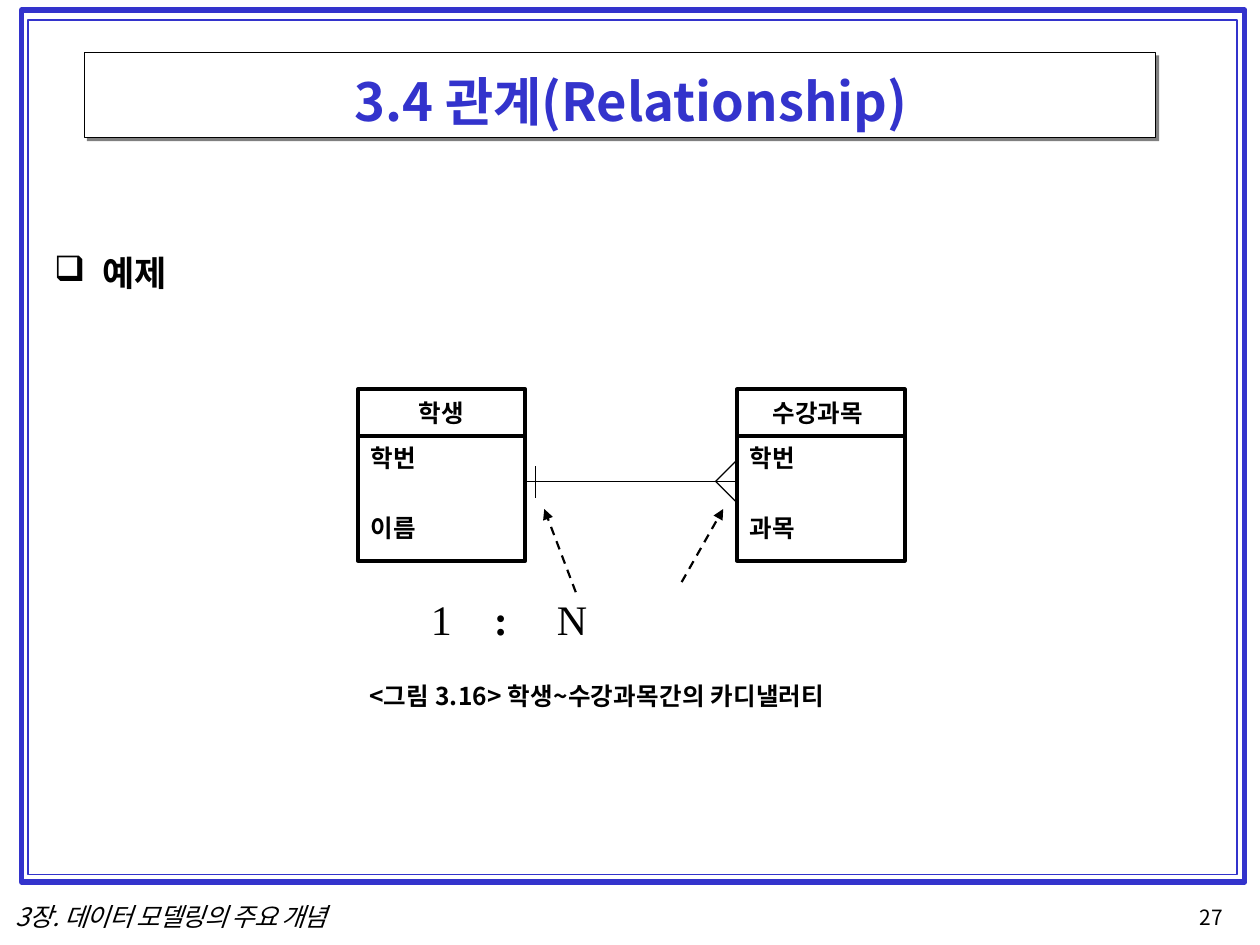
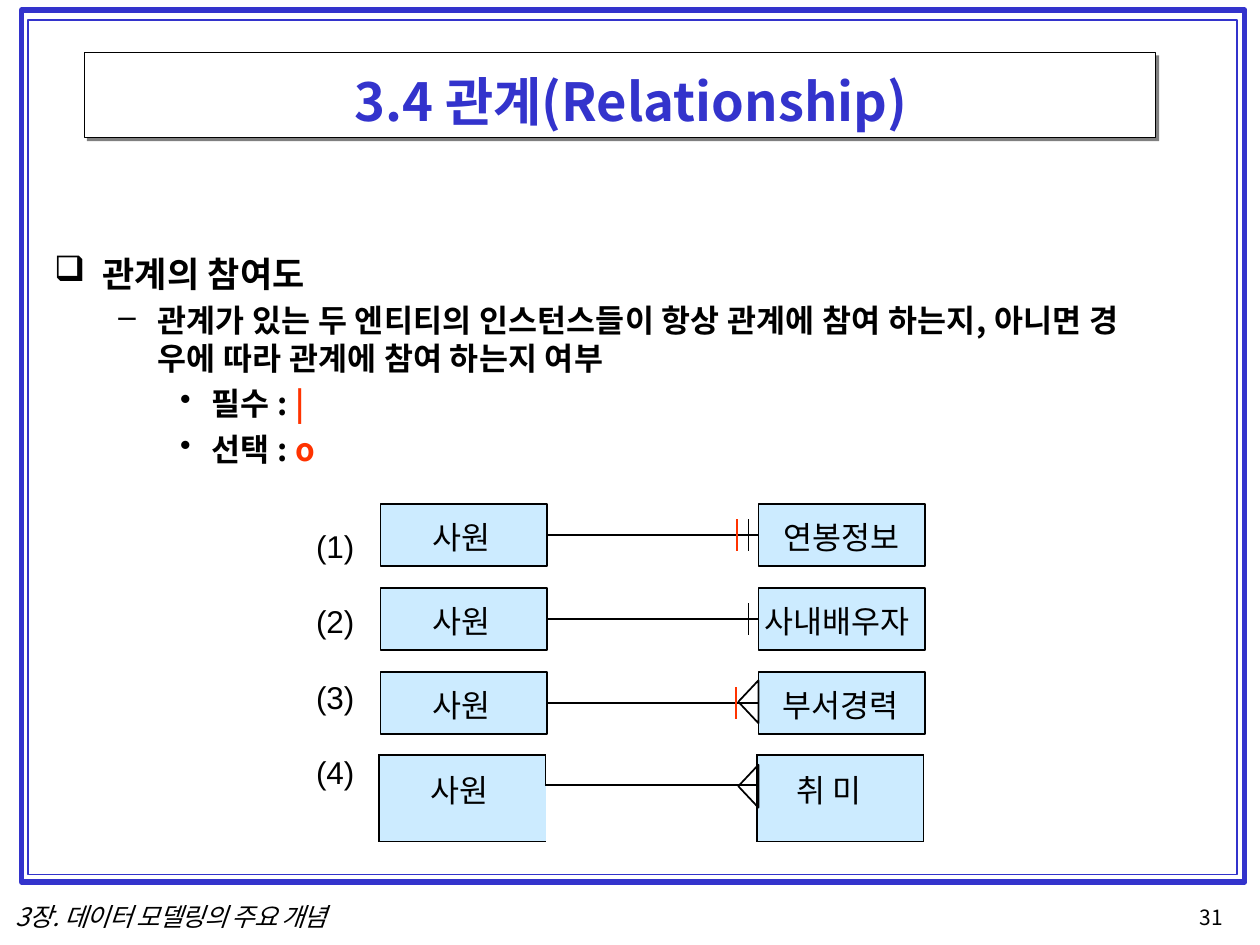
from lxml.etree import SubElement
from pptx import Presentation
from pptx.dml.color import RGBColor
from pptx.enum.dml import MSO_LINE
from pptx.enum.shapes import MSO_CONNECTOR, MSO_SHAPE
from pptx.enum.text import MSO_ANCHOR, PP_ALIGN
from pptx.oxml.ns import qn
from pptx.util import Inches, Pt

COLORS = {"blue": "3333CC", "black": "000000", "white": "FFFFFF",
          "gray": "808080", "red": "FF3300", "sky": "CCEBFF"}
RGB = {name: RGBColor.from_string(value) for name, value in COLORS.items()}
NOTO = "Noto Sans CJK KR"


def add_box(s, left, top, width, height, line=None, weight=1, fill=None, inset=0):
    """Add a rectangle, or a plain text box when it has no line and no fill."""
    at = [Inches(v) for v in (left, top, width, height)]
    if line or fill:
        sp = s.shapes.add_shape(MSO_SHAPE.RECTANGLE, *at)
        sp.shadow.inherit = False
        if fill:
            sp.fill.solid()
            sp.fill.fore_color.rgb = RGB[fill]
        else:
            sp.fill.background()
        if line:
            sp.line.color.rgb = RGB[line]
            sp.line.width = Pt(weight)
        else:
            sp.line.fill.background()
    else:
        sp = s.shapes.add_textbox(*at)
    tf = sp.text_frame
    tf.word_wrap = True
    tf.vertical_anchor = MSO_ANCHOR.TOP
    tf.margin_left = tf.margin_right = tf.margin_bottom = 0
    tf.margin_top = Inches(inset)
    return sp


def write(tf, runs, size, bold=False, italic=False, color="black", font=NOTO,
          spacing=0, left=0, hang=0, bullet=None, tabs=(), level=0, before=0,
          align=PP_ALIGN.LEFT):
    """Add a paragraph; each run is text or (text, color, bold), None is a line break."""
    p = tf.add_paragraph() if tf.text else tf.paragraphs[0]
    p.alignment, p.level = align, level
    p.line_spacing = Pt(size * 1.2)
    if before:
        p.space_before = Pt(before)
    pPr = p._p.get_or_add_pPr()
    pPr.set("marL", str(Inches(left)))
    pPr.set("indent", str(-Inches(hang)))
    if bullet:
        SubElement(pPr, qn("a:buChar")).set("char", bullet)
    if tabs:
        tab_list = SubElement(pPr, qn("a:tabLst"))
        for pos in tabs:
            tab = SubElement(tab_list, qn("a:tab"))
            tab.set("pos", str(Inches(pos)))
            tab.set("algn", "l")
    for run in runs:
        if run is None:
            p.add_line_break()
            continue
        text, run_color, run_bold = (run, color, bold) if isinstance(run, str) else run
        r = p.add_run()
        r.text = text
        r.font.size, r.font.bold, r.font.italic = Pt(size), run_bold, italic
        r.font.color.rgb = RGB[run_color]
        r.font.name = font
        rPr = r._r.get_or_add_rPr()
        SubElement(rPr, qn("a:ea")).set("typeface", font)
        if spacing:
            rPr.set("spc", str(round(spacing * 100)))


prs = Presentation()
prs.slide_width, prs.slide_height = Inches(10), Inches(7.5)

# Frame, title and footer on both slides
slides = []
for number in ("27", "31"):
    s = prs.slides.add_slide(prs.slide_layouts[6])
    slides.append(s)
    add_box(s, 0.17, 0.08, 9.71, 6.92, "blue", 3)
    add_box(s, 0.22, 0.16, 9.6, 6.78, "blue", 0.96)
    add_box(s, 0.69, 0.44, 8.51, 0.68, fill="gray")
    add_box(s, 0.67, 0.42, 8.5, 0.67, "black", 0.72, "white")
    title = add_box(s, 0.67, 0.55, 8.49, 0.5)
    write(title.text_frame, ["3.4 ", "관계(Relationship)"], 30, True, color="blue", left=2.14)
    footer = add_box(s, 0.11, 7.15, 2.8, 0.24)
    write(footer.text_frame, ["3장. ", "데이터 모델링의 주요 개념"], 14.5, italic=True,
          spacing=-0.5, left=0.01)
    page = add_box(s, 9.48, 7.18, 0.29, 0.2)
    write(page.text_frame, [number], 12, left=0.04)
example, participation = slides

# Straight lines: slide, x1, y1, x2, y2, color, weight, dashed arrow, joined boxes
lines = []
# Crow's feet: slide, tip x, tip y, base x, weight
feet = []

# Example: heading
tf = add_box(example, 0.42, 2, 0.95, 0.36).text_frame
write(tf, ["예제"], 20, True, spacing=0.1, left=0.39, hang=0.38, bullet="❑")

# Example: two entities
for x, name, field, align, indent in (
        (2.84, "학생", "이름", PP_ALIGN.CENTER, 0),
        (5.85, "수강과목", "과목", PP_ALIGN.LEFT, 0.28)):
    head = add_box(example, x, 3.09, 1.33, 0.37, "black", 2.25, inset=0.07)
    write(head.text_frame, [name], 14, True, spacing=0.1, left=indent, align=align)
    body = add_box(example, x, 3.46, 1.33, 0.99, "black", 2.25, inset=0.06)
    write(body.text_frame, ["학번"], 14, True, spacing=0.1, left=0.1)
    write(body.text_frame, [field], 14, True, spacing=0.1, left=0.1, before=23)

# Example: relationship line and arrows to its ends
lines += [
    (example, 4.17, 3.82, 5.85, 3.82, "black", 0.72, False, None),
    (example, 4.25, 3.7, 4.25, 3.95, "black", 0.72, False, None),
    (example, 4.57, 4.7, 4.32, 4.04, "black", 1.25, True, None),
    (example, 5.41, 4.62, 5.74, 4.04, "black", 1.25, True, None),
]
feet.append((example, 5.68, 3.82, 5.85, 0.72))

# Example: cardinality and caption
tf = add_box(example, 2.92, 4.71, 3.89, 0.95).text_frame
write(tf, ["\t1\t", (":\t", "black", True), "N"], 24, font="Times New Roman",
      tabs=(1.45, 2.15, 2.45))
write(tf, ["<그림 3.16> 학생~수강과목간의 카디낼러티"], 14, True, spacing=0.1,
      left=0.01, before=21)

# Participation: definition
tf = add_box(participation, 0.42, 2, 9.09, 1.75).text_frame
write(tf, ["관계의 참여도"], 20, True, spacing=0.15, left=0.39, hang=0.38, bullet="❑")
write(tf, ["관계가 있는 두 엔티티의 인스턴스들이 항상 관계에 참여 하는지, 아니면 경", None,
           "우에 따라 관계에 참여 하는지 여부"], 18, True, spacing=0.15,
      left=0.83, hang=0.31, bullet="–", level=1, before=4.2)
for kind, mark in (("필수", "|"), ("선택", "o")):
    write(tf, [kind + " : ", (mark, "red", True)], 18, True, spacing=0.1,
          left=1.26, hang=0.25, bullet="•", level=2, before=4.3)

# Participation: numbers
for i in range(4):
    label = add_box(participation, 2.5, 4.18 + 0.6 * i, 0.4, 0.3)
    write(label.text_frame, [f"({i + 1})"], 18, font="Arial", spacing=-0.1, left=0.01)

# Participation: first three pairs
for i, (name, indent) in enumerate((("연봉정보", 0.2), ("사내배우자", 0.05), ("부서경력", 0.19))):
    pair = []
    for x, text, left in ((3.02, "사원", 0.41), (6.02, name, indent)):
        sp = add_box(participation, x, 4 + i * 2 / 3, 1.32, 0.49, "black", 0.96, "sky", 0.11)
        write(sp.text_frame, [text], 18, left=left)
        pair.append(sp)
    y = 4.24 + i * 2 / 3
    lines.append((participation, 4.34, y, 6.02, y, "black", 0.96, False, pair))

# Participation: marks on the lines
for x, row, color in ((5.85, 0, "red"), (5.94, 0, "black"), (5.94, 1, "black"), (5.84, 2, "red")):
    y = 4.12 + row * 2 / 3
    lines.append((participation, x, y, x, y + 0.25, color, 0.96, False, None))
feet += [(participation, 5.86, y, 6.02, 1) for y in (5.57, 6.24)]

# Participation: fourth pair as a table whose middle border is the line
table = participation.shapes.add_table(2, 3, Inches(3.01), Inches(5.99),
                                       Inches(4.32), Inches(0.64)).table
table.first_row = table.horz_banding = False
for col, width in zip(table.columns, (1.32, 1.68, 1.32)):
    col.width = Inches(width)
for row, height in zip(table.rows, (0.24, 0.4)):
    row.height = Inches(height)
for c, text, indent in ((0, "사원", 0.41), (2, "취 미", 0.31)):
    table.cell(0, c).merge(table.cell(1, c))
    write(table.cell(0, c).text_frame, [text], 18, left=indent)
for r in range(2):
    for c in range(3):
        cell = table.cell(r, c)
        cell.margin_left = cell.margin_right = cell.margin_top = cell.margin_bottom = 0
        if cell.text_frame.text:
            cell.margin_top = Inches(0.15)
        else:
            SubElement(cell.text_frame.paragraphs[0]._p, qn("a:endParaRPr")).set("sz", "600")
        if c == 1:
            cell.fill.background()
            sides = "LRB" if r == 0 else "T"
        else:
            cell.fill.solid()
            cell.fill.fore_color.rgb = RGB["sky"]
            sides = "LRTB"
        tcPr = cell._tc.get_or_add_tcPr()
        for i, side in enumerate("LRTB"):
            ln = SubElement(tcPr, qn("a:ln" + side))
            tcPr.insert(i, ln)
            if side in sides:
                ln.set("w", str(Pt(1)))
                fill = SubElement(ln, qn("a:solidFill"))
                SubElement(fill, qn("a:srgbClr")).set("val", COLORS["black"])
            else:
                SubElement(ln, qn("a:noFill"))

# Draw the lines
for s, x1, y1, x2, y2, color, weight, arrow, pair in lines:
    cx = s.shapes.add_connector(MSO_CONNECTOR.STRAIGHT, Inches(x1), Inches(y1),
                                Inches(x2), Inches(y2))
    cx.line.color.rgb = RGB[color]
    cx.line.width = Pt(weight)
    if pair:
        cx.begin_connect(pair[0], 3)
        cx.end_connect(pair[1], 1)
    if arrow:
        cx.line.dash_style = MSO_LINE.DASH
        SubElement(cx.line._get_or_add_ln(), qn("a:tailEnd")).set("type", "triangle")
    SubElement(cx._element.spPr, qn("a:effectLst"))

# Draw the crow's feet
for s, tip, y, base, weight in feet:
    fb = s.shapes.build_freeform(Inches(tip), Inches(y))
    fb.add_line_segments([(Inches(base), Inches(y - 0.17)), (Inches(base), Inches(y + 0.17))])
    sp = fb.convert_to_shape()
    sp.shadow.inherit = False
    sp.fill.background()
    sp.line.color.rgb = RGB["black"]
    sp.line.width = Pt(weight)

prs.save("out.pptx")
